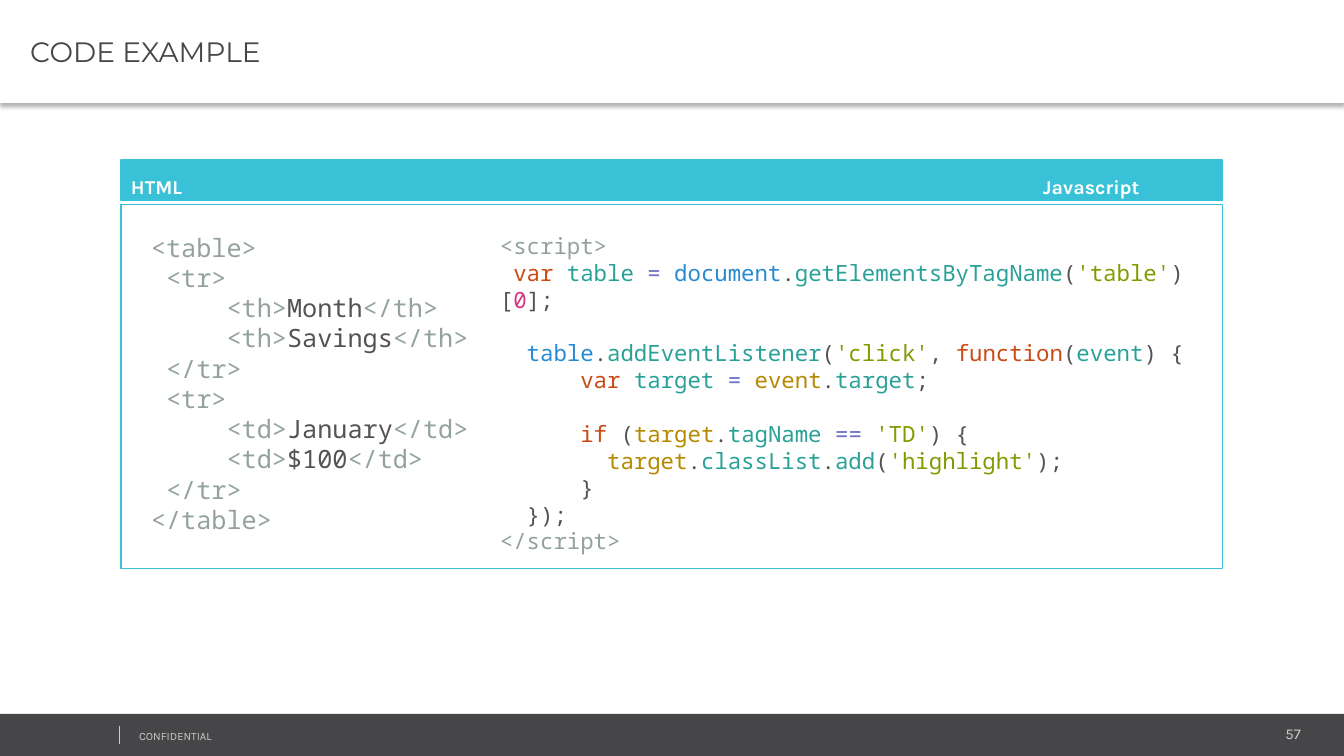
from lxml import etree
from pptx import Presentation
from pptx.dml.color import RGBColor
from pptx.enum.shapes import MSO_CONNECTOR, MSO_SHAPE
from pptx.enum.text import MSO_ANCHOR, MSO_AUTO_SIZE, PP_ALIGN
from pptx.oxml import parse_xml
from pptx.oxml.ns import qn
from pptx.util import Emu, Pt

RECTANGLE, STRAIGHT = MSO_SHAPE.RECTANGLE, MSO_CONNECTOR.STRAIGHT
TOP, MIDDLE = MSO_ANCHOR.TOP, MSO_ANCHOR.MIDDLE
LEFT, RIGHT = PP_ALIGN.LEFT, PP_ALIGN.RIGHT
FIXED = MSO_AUTO_SIZE.NONE

COLORS = {
    "white": "FFFFFF", "dark": "464547", "light": "CCCCCC", "accent": "39C2D7",
    "plain": "535353", "tag": "93A1A1", "keyword": "CB4B16", "name": "2AA198",
    "operator": "6C71C4", "global": "268BD2", "string": "859900",
    "number": "D33682", "object": "B58900",
}
SANS, TITLE_FONT, MONO = "Karla", "Montserrat", "Noto Sans Mono"

TITLE = "CODE EXAMPLE"
HEADINGS = "HTML\tJavascript"
FOOTER = "CONFIDENTIAL"
PAGE_NUMBER = "57"

HTML_CODE = [
    [("<table>", "tag")],
    [(" <tr>", "tag")],
    [("     <th>", "tag"), ("Month", "plain"), ("</th>", "tag")],
    [("     <th>", "tag"), ("Savings", "plain"), ("</th>", "tag")],
    [(" </tr>", "tag")],
    [(" <tr>", "tag")],
    [("     <td>", "tag"), ("January", "plain"), ("</td>", "tag")],
    [("     <td>", "tag"), ("$100", "plain"), ("</td>", "tag")],
    [(" </tr>", "tag")],
    [("</table>", "tag")],
]
SCRIPT_CODE = [
    [("<script>", "tag")],
    [(" var ", "keyword"), ("table ", "name"), ("= ", "operator"),
     ("document", "global"), (".", "plain"), ("getElementsByTagName", "name"),
     ("(", "plain"), ("'table'", "string"), (")[", "plain"), ("0", "number"),
     ("];", "plain")],
    [],
    [("  table", "global"), (".", "plain"), ("addEventListener", "name"),
     ("(", "plain"), ("'click'", "string"), (", ", "plain"),
     ("function", "keyword"), ("(", "plain"), ("event", "name"), (") {", "plain")],
    [("      var ", "keyword"), ("target ", "name"), ("= ", "operator"),
     ("event", "object"), (".", "plain"), ("target", "name"), (";", "plain")],
    [],
    [("      if", "keyword"), (" (", "plain"), ("target", "object"), (".", "plain"),
     ("tagName ", "name"), ("== ", "operator"), ("'TD'", "string"), (") {", "plain")],
    [("        target", "object"), (".", "plain"), ("classList", "name"),
     (".", "plain"), ("add", "name"), ("(", "plain"), ("'highlight'", "string"),
     (");", "plain")],
    [("      }", "plain")],
    [("  });", "plain")],
    [("</script>", "tag")],
]

PAGE_WIDTH, PAGE_HEIGHT = 1344, 756
TITLE_HEIGHT, FOOTER_TOP = 103, 714
PANEL_LEFT, PANEL_WIDTH = 121, 1102
HEADING_TAB = 912
LINE_HEIGHT = 1.2
SCALE = 914400 / 100.8

TITLE_SHADOW = """<a:effectLst xmlns:a="http://schemas.openxmlformats.org/drawingml/2006/main">
<a:outerShdw blurRad="39370" dist="25400" dir="5400000" algn="t" rotWithShape="0">
<a:srgbClr val="000000"><a:alpha val="30000"/></a:srgbClr></a:outerShdw></a:effectLst>"""


def px(length):
    return Emu(round(length * SCALE))


def place(*lengths):
    return [px(length) for length in lengths]


def color(name):
    return RGBColor.from_string(COLORS[name])


def add_rectangle(page, area, fill, line=None):
    box = page.shapes.add_shape(RECTANGLE, *place(*area))
    box.shadow.inherit = False
    box.fill.solid()
    box.fill.fore_color.rgb = color(fill)
    if line:
        box.line.color.rgb = color(line)
        box.line.width = Pt(0.75)
    else:
        box.line.fill.background()
    return box


def add_text_box(page, area):
    return page.shapes.add_textbox(*place(*area))


def write(box, text, size, font=SANS, tint="white", bold=False, align=LEFT,
          anchor=TOP, spacing=1.0, tab=None, insets=(10, 5, 10, 5)):
    frame = box.text_frame
    frame.word_wrap = True
    frame.auto_size = FIXED
    frame.vertical_anchor = anchor
    (frame.margin_left, frame.margin_top,
     frame.margin_right, frame.margin_bottom) = place(*insets)
    lines = [[(text, tint)]] if isinstance(text, str) else text
    para, blanks = None, 0
    for line in lines:
        if not line:
            blanks += 1
            continue
        para = frame.add_paragraph() if para else frame.paragraphs[0]
        para.alignment = align
        if tab:
            stops = etree.SubElement(para._p.get_or_add_pPr(), qn("a:tabLst"))
            etree.SubElement(stops, qn("a:tab"), pos=str(px(tab)), algn="l")
        para.line_spacing = spacing
        para.space_before = Pt(round(blanks * size * LINE_HEIGHT, 1))
        blanks = 0
        for words, shade in line:
            span = para.add_run()
            span.text = words
            span.font.name = font
            span.font.size = Pt(size)
            span.font.bold = bold
            span.font.color.rgb = color(shade)


def add_title(page):
    title = page.shapes.title
    title.left, title.top, title.width, title.height = place(
        0, 0, PAGE_WIDTH, TITLE_HEIGHT)
    title.fill.solid()
    title.fill.fore_color.rgb = color("white")
    title._element.spPr.append(parse_xml(TITLE_SHADOW))
    write(title, TITLE, 20, font=TITLE_FONT, tint="dark", anchor=MIDDLE,
          insets=(30, 4, 7, 4))


def add_footer(page):
    add_rectangle(page, (0, FOOTER_TOP, PAGE_WIDTH, PAGE_HEIGHT - FOOTER_TOP), "dark")
    write(add_text_box(page, (1091, 720, 220, 28)), PAGE_NUMBER, 10.7,
          tint="light", align=RIGHT)
    write(add_text_box(page, (129, 724, 341, 24)), FOOTER, 8, tint="light")
    divider = page.shapes.add_connector(STRAIGHT, *place(120, 726, 120, 744))
    divider.line.color.rgb = color("light")
    divider.line.width = Pt(0.75)
    etree.SubElement(divider._element.spPr, qn("a:effectLst"))


def add_code_panel(page):
    add_rectangle(page, (PANEL_LEFT, 205, PANEL_WIDTH, 364), "white", "accent")
    header = add_rectangle(page, (PANEL_LEFT, 160, PANEL_WIDTH, 41), "accent", "accent")
    write(header, HEADINGS, 14, bold=True, anchor=MIDDLE, spacing=1.5, tab=HEADING_TAB)
    write(add_text_box(page, (141, 227, 349, 340)), HTML_CODE, 18, font=MONO)
    write(add_text_box(page, (490, 227, 719, 336)), SCRIPT_CODE, 16, font=MONO)


def main():
    deck = Presentation()
    deck.slide_width, deck.slide_height = place(PAGE_WIDTH, PAGE_HEIGHT)
    page = deck.slides.add_slide(deck.slide_layouts[5])
    add_footer(page)
    add_code_panel(page)
    add_title(page)
    deck.save("out.pptx")


if __name__ == "__main__":
    main()
